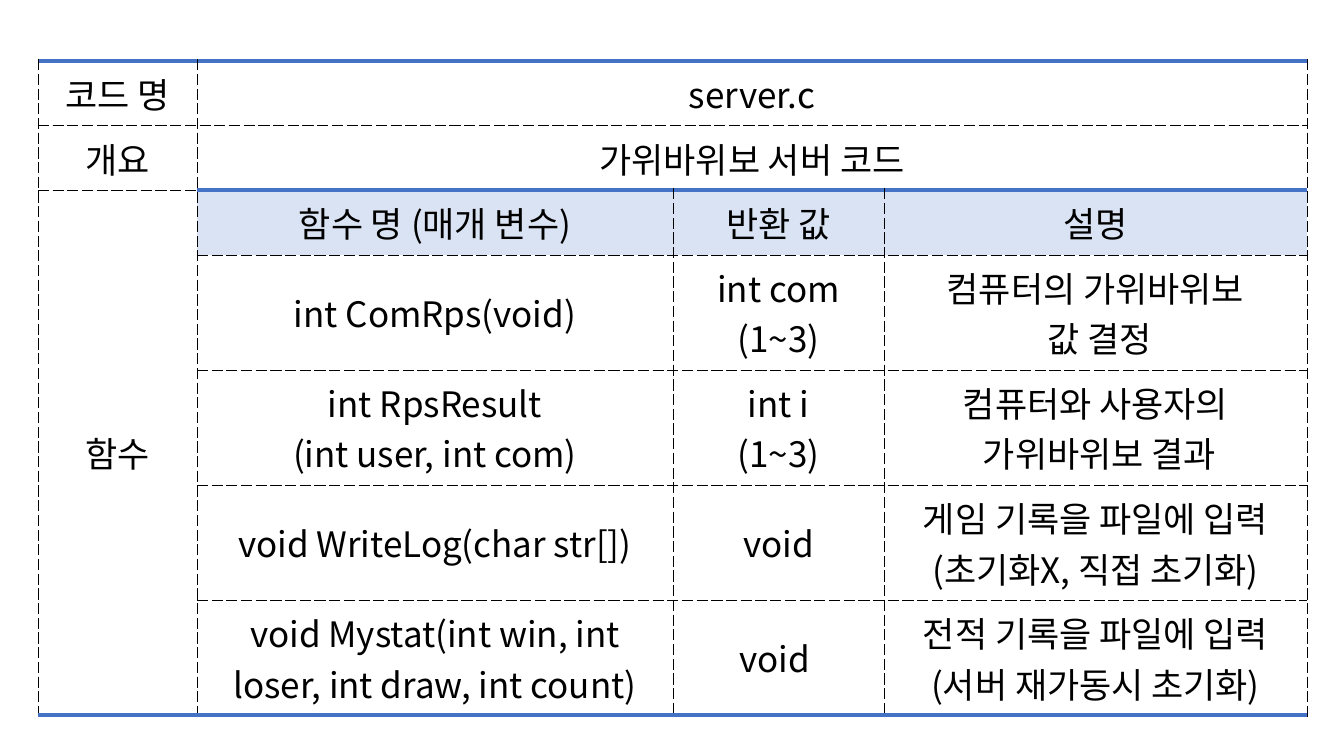
from lxml.etree import SubElement
from pptx import Presentation
from pptx.dml.color import RGBColor
from pptx.enum.text import MSO_ANCHOR, PP_ALIGN
from pptx.oxml.ns import qn
from pptx.util import Inches, Pt

PX = Inches(1) / 100.8
FONT = "Noto Sans CJK KR"
BLACK = RGBColor(0x00, 0x00, 0x00)
BLUE = RGBColor(0x44, 0x72, 0xC4)
PALE_BLUE = RGBColor(0xDA, 0xE3, 0xF3)

COLUMN_SHARES = (159, 476, 211, 423)
ROW_HEIGHTS = (64,) * 3 + (115,) * 4
HEADER_ROW = 2
# Top-left cell and bottom-right cell of each span
SPANS = (((0, 1), (0, 3)), ((1, 1), (1, 3)), ((2, 0), (6, 0)))
CONTENT = (
    ("코드 명", "server.c", "", ""),
    ("개요", "가위바위보 서버 코드", "", ""),
    ("함수", "함수 명 (매개 변수)", "반환 값", "설명"),
    ("", "int ComRps(void)", "int com\n(1~3)", "컴퓨터의 가위바위보\n 값 결정"),
    ("", "int RpsResult\n(int user, int com)", "int i\n(1~3)",
     "컴퓨터와 사용자의\n 가위바위보 결과"),
    ("", "void WriteLog(char str[])", "void",
     "게임 기록을 파일에 입력\n(초기화X, 직접 초기화)"),
    ("", "void Mystat(int win, int loser, int draw, int count)", "void ",
     "전적 기록을 파일에 입력\n(서버 재가동시 초기화)"),
)


def px(length):
    return round(length * PX)


def add_border(cell, side, ruled):
    """Draw a thick blue rule or a thin dashed line on one side."""
    color, width, dash = (BLUE, 3, "solid") if ruled else (BLACK, 0.25, "sysDash")
    line = SubElement(cell._tc.get_or_add_tcPr(), qn(f"a:ln{side}"), w=str(Pt(width)))
    SubElement(SubElement(line, qn("a:solidFill")), qn("a:srgbClr"), val=str(color))
    SubElement(line, qn("a:prstDash"), val=dash)


def is_ruled(edge, column):
    """Blue rules close the table and open the function list."""
    return edge in (0, len(ROW_HEIGHTS)) or (edge == HEADER_ROW and column > 0)


def write_text(cell, text):
    cell.text = text
    cell.vertical_anchor = MSO_ANCHOR.MIDDLE
    cell.margin_left = cell.margin_right = px(14)
    cell.margin_top = cell.margin_bottom = px(7)
    for paragraph in cell.text_frame.paragraphs:
        paragraph.alignment = PP_ALIGN.CENTER
        paragraph.font.size = Pt(25)
        paragraph.font.color.rgb = BLACK
        paragraph.font.name = FONT
        # Korean glyphs take the East Asian typeface
        defaults = paragraph._p.get_or_add_pPr().find(qn("a:defRPr"))
        SubElement(defaults, qn("a:ea"), typeface=FONT)


def format_cell(cell, row, column):
    write_text(cell, CONTENT[row][column])
    bottom = row + (cell.span_height if cell.is_merge_origin else 1)
    # Borders come before the fill in the cell properties
    for side, ruled in (("L", False), ("R", False),
                        ("T", is_ruled(row, column)),
                        ("B", is_ruled(bottom, column))):
        add_border(cell, side, ruled)
    if row == HEADER_ROW and column > 0:
        cell.fill.solid()
        cell.fill.fore_color.rgb = PALE_BLUE
    else:
        cell.fill.background()


def add_code_table(slide, left, top, width, height):
    code_table = slide.shapes.add_table(
        len(ROW_HEIGHTS), len(COLUMN_SHARES),
        px(left), px(top), px(width), px(height)).table
    code_table.first_row = code_table.horz_banding = False
    for column, share in zip(code_table.columns, COLUMN_SHARES):
        column.width = px(width * share / sum(COLUMN_SHARES))
    for row, share in zip(code_table.rows, ROW_HEIGHTS):
        row.height = px(height * share / sum(ROW_HEIGHTS))
    for first, last in SPANS:
        code_table.cell(*first).merge(code_table.cell(*last))
    for row in range(len(ROW_HEIGHTS)):
        for column in range(len(COLUMN_SHARES)):
            format_cell(code_table.cell(row, column), row, column)


presentation = Presentation()
presentation.slide_width = px(1344)
presentation.slide_height = px(756)
slide = presentation.slides.add_slide(presentation.slide_layouts[6])
add_code_table(slide, 38, 61, 1269, 652)
presentation.save("out.pptx")
